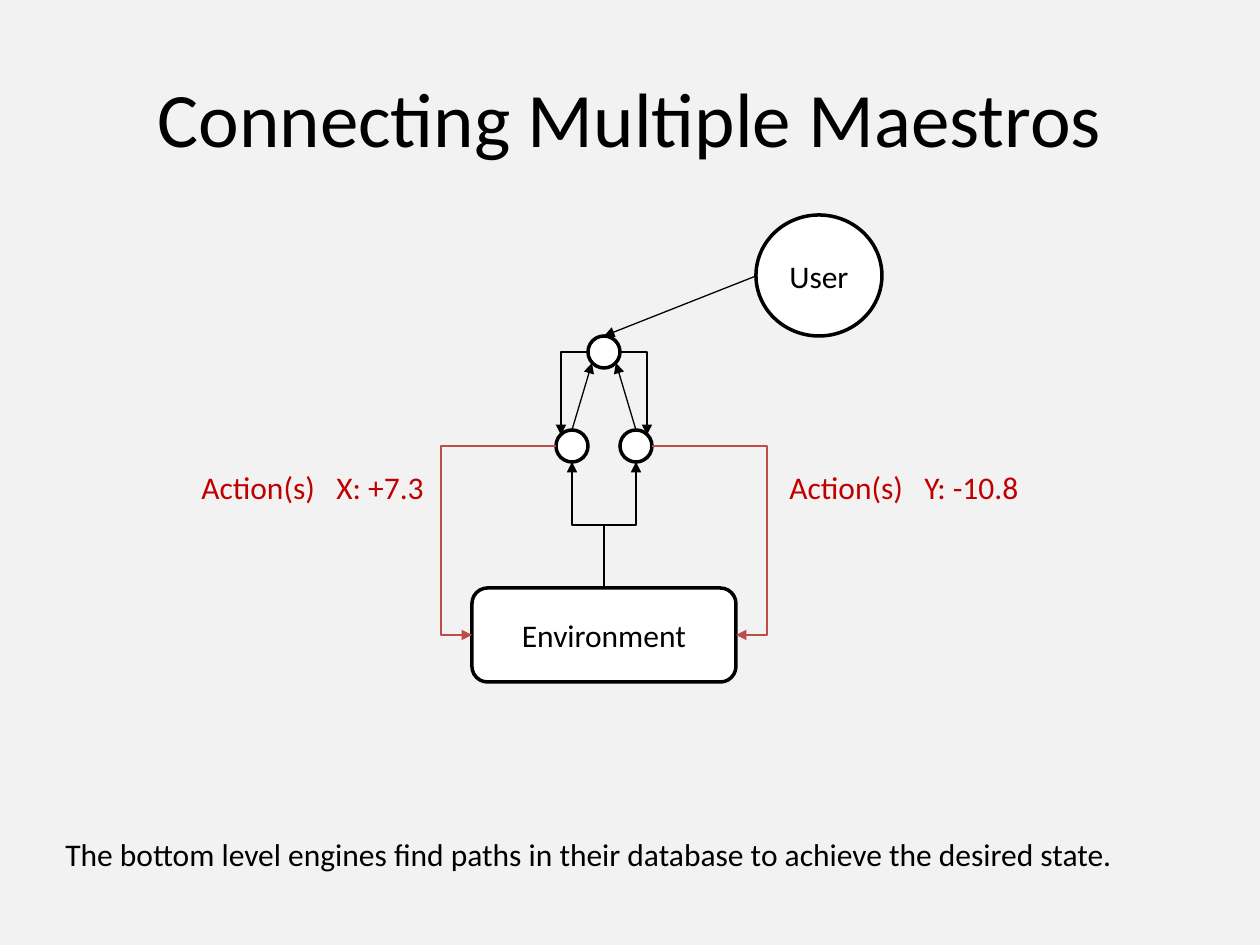
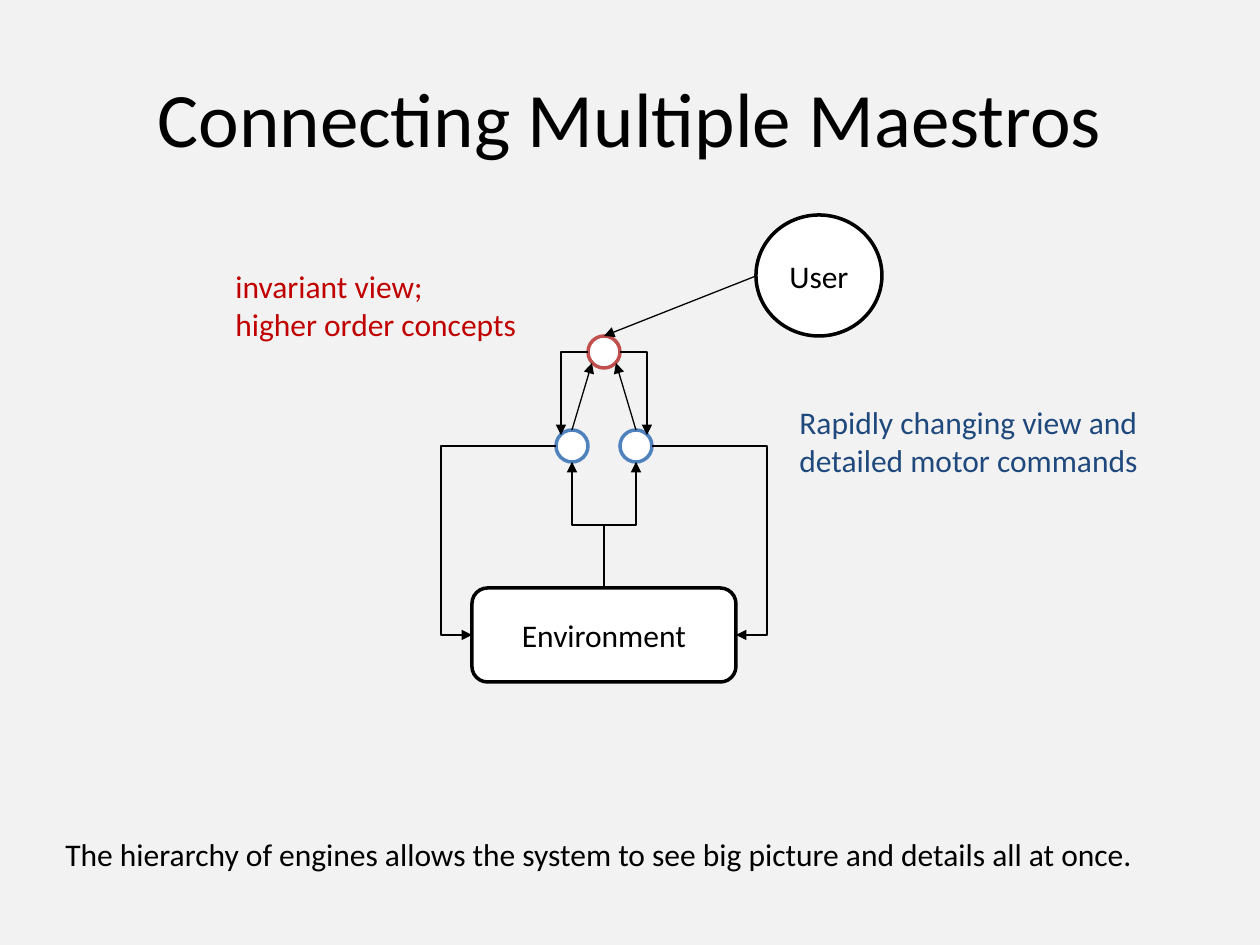
from lxml import etree
from pptx import Presentation
from pptx.dml.color import RGBColor
from pptx.enum.shapes import MSO_CONNECTOR, MSO_SHAPE
from pptx.enum.text import MSO_ANCHOR, PP_ALIGN
from pptx.oxml.ns import qn
from pptx.util import Emu, Pt

STRAIGHT, ELBOW = MSO_CONNECTOR.STRAIGHT, MSO_CONNECTOR.ELBOW
OVAL, ROUNDED = MSO_SHAPE.OVAL, MSO_SHAPE.ROUNDED_RECTANGLE
LEFT, CENTER = PP_ALIGN.LEFT, PP_ALIGN.CENTER
TOP, MIDDLE = MSO_ANCHOR.TOP, MSO_ANCHOR.MIDDLE

COLOURS = {
    "background": "F2F2F2",
    "black": "000000",
    "white": "FFFFFF",
    "red_text": "C00000",
    "red_node": "C0504D",
    "red_line": "BF4C48",
    "blue_text": "1F497D",
    "blue_node": "4F81BD",
}
FONT = "Calibri"
TITLE_ONLY = 5
AXIS = 604
NODE = 32
TOP_NODE_Y, LOW_NODE_Y = 352, 446
LOW_NODE_OFFSET = 32
ENVIRONMENT_Y, ENVIRONMENT_HEIGHT, ENVIRONMENT_HALF = 588, 94, 132


def px(length):
    return Emu(round(length * 914400 / 126))


def colour(name):
    return RGBColor.from_string(COLOURS[name])


class MaestroDeck:
    """Holds the deck style and the slide being built."""

    def __init__(self):
        self.deck = Presentation()
        self.deck.slide_width, self.deck.slide_height = px(1260), px(945)
        fill = self.deck.slide_master.background.fill
        fill.solid()
        fill.fore_color.rgb = colour("background")
        self.page = None

    def new_page(self, title, caption):
        self.page = self.deck.slides.add_slide(self.deck.slide_layouts[TITLE_ONLY])
        box = self.page.shapes.title
        box.left, box.top, box.width, box.height = map(px, (63, 38, 1134, 158))
        self.set_text(box, [title], 44, "black", CENTER, MIDDLE)
        self.text(53, 829, 1144, 50, [caption])

    def set_text(self, box, lines, size, ink, align, anchor):
        frame = box.text_frame
        frame.word_wrap = True
        frame.vertical_anchor = anchor
        frame.text = "\n".join(lines)
        for para in frame.paragraphs:
            para.alignment = align
            para.font.name = FONT
            para.font.size = Pt(size)
            para.font.color.rgb = colour(ink)

    def text(self, left, top, width, height, lines, ink="black", tab=None):
        box = self.page.shapes.add_textbox(*map(px, (left, top, width, height)))
        self.set_text(box, lines, 18, ink, LEFT, TOP)
        if tab:
            for para in box.text_frame.paragraphs:
                tabs = etree.Element(qn("a:tabLst"))
                etree.SubElement(tabs, qn("a:tab"), pos=str(px(tab)), algn="l")
                para._p.get_or_add_pPr().insert(0, tabs)

    def shape(self, kind, left, top, width, height, outline="black", label=None):
        box = self.page.shapes.add_shape(kind, *map(px, (left, top, width, height)))
        box.shadow.inherit = False
        box.fill.solid()
        box.fill.fore_color.rgb = colour("white")
        box.line.color.rgb = colour(outline)
        box.line.width = Pt(2)
        if label:
            self.set_text(box, [label], 18, "black", CENTER, MIDDLE)

    def node(self, x, y, outline):
        self.shape(OVAL, x - NODE // 2, y - NODE // 2, NODE, NODE, outline)

    def arrow(self, start, end, ink="black", kind=STRAIGHT):
        line = self.page.shapes.add_connector(kind, *map(px, (*start, *end)))
        line.line.color.rgb = colour(ink)
        line.line.width = Pt(0.75)
        properties = line._element.spPr
        etree.SubElement(properties.find(qn("a:ln")), qn("a:tailEnd"), type="triangle")
        etree.SubElement(properties, qn("a:effectLst"))
        return properties

    def corner_arrow(self, start, end):
        properties = self.arrow(start, end, kind=ELBOW)
        properties.find(qn("a:prstGeom")).set("prst", "bentConnector2")

    def detour_arrow(self, start, end, turn_x, ink):
        properties = self.arrow(start, end, ink, ELBOW)
        share = (turn_x - start[0]) / (end[0] - start[0])
        guides = properties.find(qn("a:prstGeom")).find(qn("a:avLst"))
        etree.SubElement(guides, qn("a:gd"), name="adj1", fmla=f"val {round(share * 100000)}")

    def rising_arrow(self, start, end):
        middle_x, middle_y = (start[0] + end[0]) / 2, (start[1] + end[1]) / 2
        half_rise, half_shift = (start[1] - end[1]) / 2, (end[0] - start[0]) / 2
        properties = self.arrow(
            (middle_x - half_rise, middle_y - half_shift),
            (middle_x + half_rise, middle_y + half_shift),
            kind=ELBOW,
        )
        properties.find(qn("a:xfrm")).set("rot", str(270 * 60000))

    def diagram(self, top_outline="black", low_outline="black", action_ink="black"):
        radius = NODE // 2
        self.node(AXIS, TOP_NODE_Y, top_outline)
        self.shape(OVAL, 756, 215, 126, 121, label="User")
        self.arrow((756, 276), (AXIS, TOP_NODE_Y - radius))
        self.shape(ROUNDED, AXIS - ENVIRONMENT_HALF, ENVIRONMENT_Y, 2 * ENVIRONMENT_HALF,
                   ENVIRONMENT_HEIGHT, label="Environment")
        for side in (-1, 1):
            low_x = AXIS + side * LOW_NODE_OFFSET
            self.node(low_x, LOW_NODE_Y, low_outline)
            self.arrow((low_x, LOW_NODE_Y - radius), (AXIS + side * 12, 363))
            self.corner_arrow((AXIS + side * radius, TOP_NODE_Y), (AXIS + side * 43, 435))
            self.rising_arrow((AXIS, ENVIRONMENT_Y), (low_x, LOW_NODE_Y + radius))
            self.detour_arrow(
                (low_x + side * radius, LOW_NODE_Y),
                (AXIS + side * ENVIRONMENT_HALF, ENVIRONMENT_Y + ENVIRONMENT_HEIGHT // 2),
                AXIS + side * 163,
                action_ink,
            )


def main():
    maestro = MaestroDeck()
    title = "Connecting Multiple Maestros"

    maestro.new_page(title, "The bottom level engines find paths in their database "
                            "to achieve the desired state.")
    maestro.diagram(action_ink="red_line")
    for left, width, action in ((189, 251, "X: +7.3"), (777, 257, "Y: -10.8")):
        maestro.text(left, 462, width, 50, [f"Action(s)\t{action}"], "red_text", tab=135)

    maestro.new_page(title, "The hierarchy of engines allows the system to see "
                            "big picture and details all at once.")
    maestro.diagram("red_node", "blue_node")
    maestro.text(223, 261, 339, 89, ["invariant view;", "higher order concepts"], "red_text")
    maestro.text(787, 397, 368, 89,
                 ["Rapidly changing view and", "detailed motor commands"], "blue_text")

    maestro.deck.save("out.pptx")


main()
